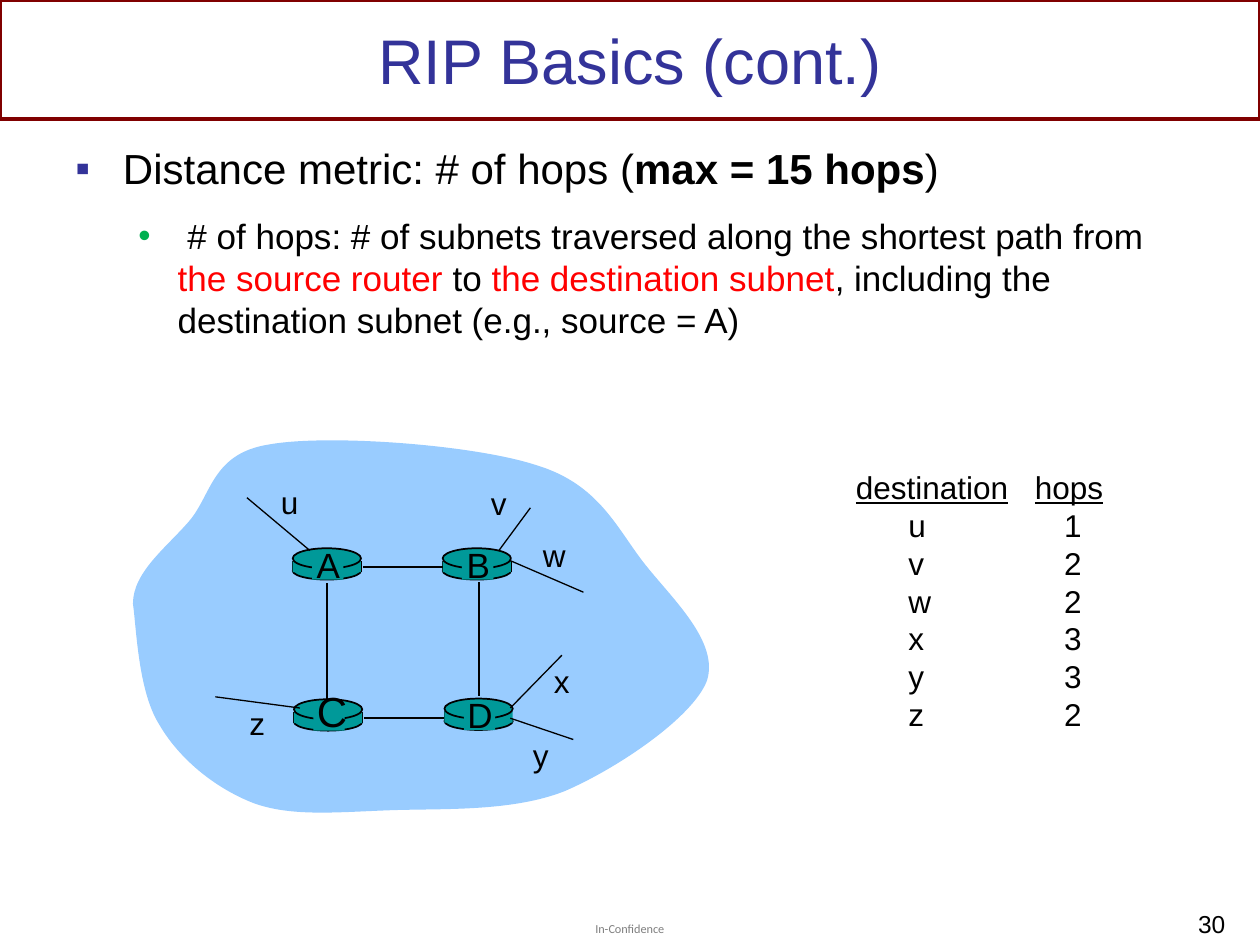
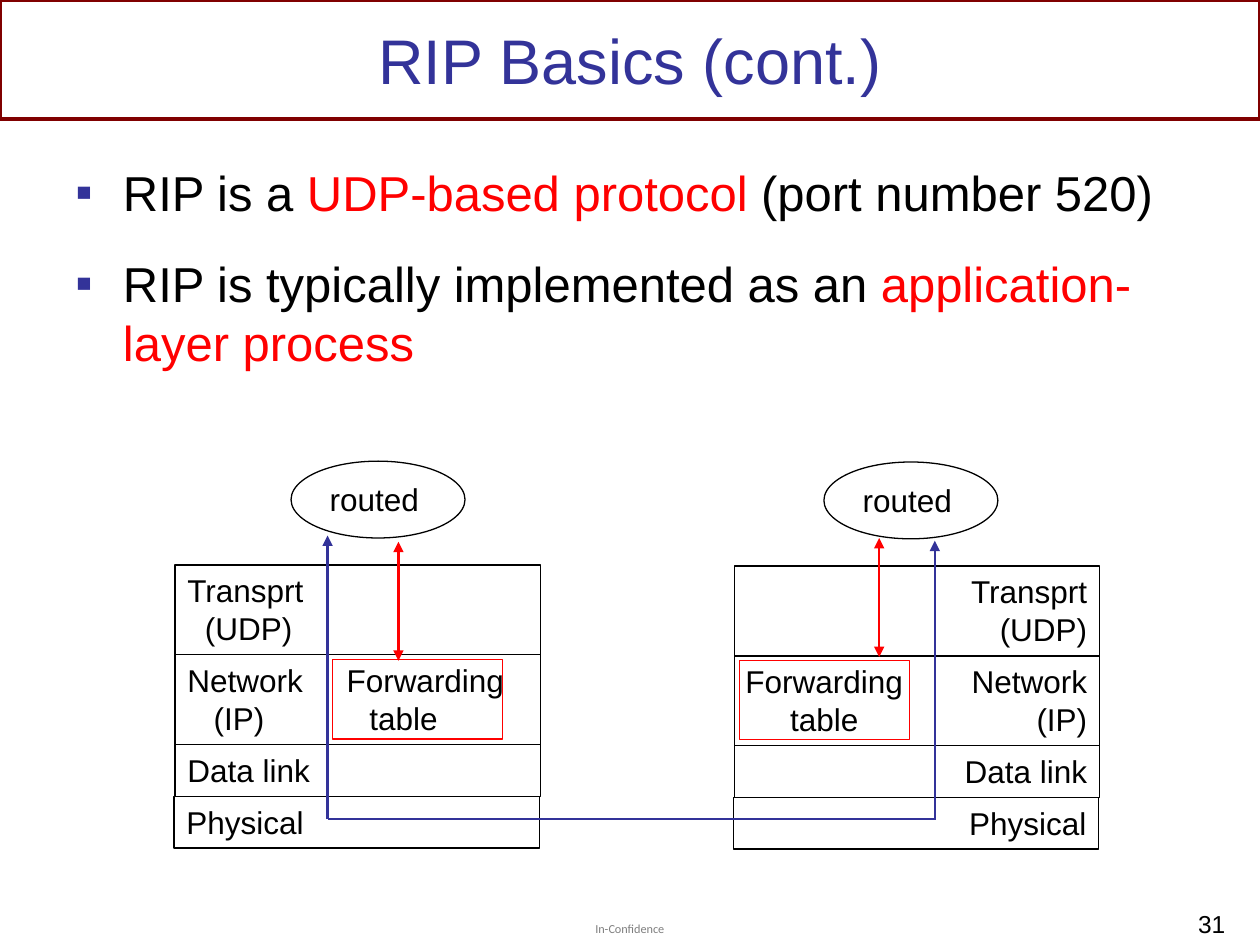
"""Builds two slides on RIP basics: hop counts and the protocol stack."""
from lxml import etree
from pptx import Presentation
from pptx import util as u
from pptx.dml.color import RGBColor
from pptx.enum import shapes, text
from pptx.oxml.ns import qn

COLOURS = {"ink": "000000", "blue": "333399", "band": "800000", "red": "FF0000",
           "green": "00B050", "cloud": "99CCFF", "router": "009999", "footer": "7F7F7F"}
LEFT, CENTER, RIGHT = text.PP_ALIGN.LEFT, text.PP_ALIGN.CENTER, text.PP_ALIGN.RIGHT
TOP, MIDDLE = text.MSO_ANCHOR.TOP, text.MSO_ANCHOR.MIDDLE
RECT, OVAL = shapes.MSO_SHAPE.RECTANGLE, shapes.MSO_SHAPE.OVAL
RED, BOLD, UNDERLINE = {"colour": "red"}, {"bold": True}, {"underline": True}

CLOUD_START = (75.6, 344.9)
CLOUD_CURVES = [
    ((76.3, 326.9), (95, 313.2), (108, 298.1)),
    ((121, 283), (121, 259.2), (154.1, 254.2)),
    ((187.2, 248.4), (271.4, 254.2), (306.7, 265.7)),
    ((342.7, 277.2), (352.8, 303.1), (369.4, 323.3)),
    ((385.2, 343.4), (411.1, 367.2), (403.9, 388.8)),
    ((396, 410.4), (352.8, 439.2), (323.3, 452.2)),
    ((293, 464.4), (253.4, 462.2), (223.9, 463)),
    ((193.7, 464.4), (167, 466.6), (144.7, 458.6)),
    ((122.4, 450), (102.2, 432.7), (90.7, 414)),
    ((79.2, 395.3), (78.5, 359.3), CLOUD_START),
]
ROUTERS = {"A": (167.3, 313.3), "B": (253, 313.3), "C": (168, 399.6), "D": (254, 399.2)}
ROUTER_LINKS = [(273.6, 332.6, 273.6, 397.6), (187, 333.4, 187, 400.3),
                (208, 410.4, 254, 410.4), (207.4, 324, 253.4, 324)]
SUBNET_LINKS = [(291.6, 320.4, 333.4, 338.4), (285.1, 314.6, 303.1, 290.2),
                (291.6, 404.6, 321.1, 374.4), (291.6, 410.4, 327.6, 422.6),
                (177.1, 314.6, 141.1, 284.4), (171.4, 404.6, 123.1, 398.2)]
SUBNETS = {"u": (153.4, 272.2), "v": (273.4, 272.9), "w": (303.1, 302.8),
           "x": (309.4, 374.8), "y": (297.4, 416.9), "z": (135.4, 398.9)}
HOPS = {"u": 1, "v": 2, "w": 2, "x": 3, "y": 3, "z": 2}
LAYERS = [(["Transprt", "(UDP)"], 51.4, 0), (["Network", "(IP)"], 51.4, 0),
          (["Data link"], 29.5, 0), (["Physical"], 29.5, -0.5)]
SPLIT_LAYERS = {"Transprt": (["Transprt", "\t(UDP)"], [10]),
                "Network": (["Network\tForwarding", "\t(IP)\ttable"], [15, 104])}
STACK_WIDTH = 208.8


def rgb(name):
    """Return the named colour."""
    return RGBColor.from_string(COLOURS[name])


def points(*lengths):
    """Convert numbers to point lengths."""
    return [u.Pt(length) for length in lengths]


def write(frame, lines, size=18, align=LEFT, anchor=TOP, wrap=True, colour="ink", font="Arial"):
    """Fill a frame; a line is a string or a list of (text, style) runs."""
    frame.word_wrap, frame.vertical_anchor = wrap, anchor
    for number, line in enumerate(lines):
        paragraph = frame.paragraphs[0] if number == 0 else frame.add_paragraph()
        paragraph.alignment = align
        for words, style in [(line, {})] if isinstance(line, str) else line:
            run = paragraph.add_run()
            run.text = words
            run.font.name, run.font.size = font, u.Pt(size)
            run.font.color.rgb = rgb(style.get("colour", colour))
            run.font.bold = style.get("bold", False)
            run.font.underline = style.get("underline", False)
    return frame


def label(slide, box, lines, **style):
    """Add a text box."""
    return write(slide.shapes.add_textbox(*points(*box)).text_frame, lines, **style)


def paint(shape, fill=None, line=None, width=0.75):
    """Set the fill and outline of a shape and take off its shadow."""
    shape.shadow.inherit = False
    if fill:
        shape.fill.solid()
        shape.fill.fore_color.rgb = rgb(fill)
    else:
        shape.fill.background()
    if line:
        shape.line.color.rgb = rgb(line)
        shape.line.width = u.Pt(width)
    else:
        shape.line.fill.background()
    return shape


def draw(slide, kind, box, fill=None, line=None, width=0.75):
    """Add a preset shape with an optional fill and outline."""
    return paint(slide.shapes.add_shape(kind, *points(*box)), fill, line, width)


def connect(slide, ends, colour="ink", width=0.75, arrows=()):
    """Add a straight line with arrowheads at the given ends."""
    line = slide.shapes.add_connector(shapes.MSO_CONNECTOR.STRAIGHT, *points(*ends))
    line.line.color.rgb = rgb(colour)
    line.line.width = u.Pt(width)
    for end in arrows:
        etree.SubElement(line.line._get_or_add_ln(), qn(f"a:{end}"), type="triangle")
    etree.SubElement(line._element.spPr, qn("a:effectLst"))


def set_bullet(paragraph, mark, colour, left, hang):
    """Give a paragraph a coloured bullet and a hanging indent."""
    properties = paragraph._p.get_or_add_pPr()
    properties.set("marL", str(u.Pt(left)))
    properties.set("indent", str(-u.Pt(hang)))
    holder = etree.SubElement(properties, qn("a:buClr"))
    etree.SubElement(holder, qn("a:srgbClr"), val=COLOURS[colour])
    etree.SubElement(properties, qn("a:buFont"), typeface="Arial")
    etree.SubElement(properties, qn("a:buChar"), char=mark)


def set_tabs(paragraph, *stops):
    """Set left tab stops on a paragraph."""
    tabs = etree.SubElement(paragraph._p.get_or_add_pPr(), qn("a:tabLst"))
    for stop in stops:
        etree.SubElement(tabs, qn("a:tab"), pos=str(u.Pt(stop)), algn="l")


def set_spacing(paragraphs, before, after):
    """Space the paragraphs of a box, with nothing before the first."""
    for number, paragraph in enumerate(paragraphs):
        paragraph.space_before = u.Pt(before if number else 0)
        paragraph.space_after = u.Pt(after)


def add_slide(deck, number):
    """Add a slide with the shared band, title, footer and number."""
    slide = deck.slides.add_slide(deck.slide_layouts[5])
    draw(slide, RECT, (0, 0, 720, 68.2), line="band", width=2)
    title = slide.shapes.title
    title.left, title.top, title.width, title.height = points(36, 5.4, 648, 56.9)
    write(title.text_frame, ["RIP Basics (cont.)"], size=36, align=CENTER,
          anchor=MIDDLE, colour="blue")
    footer = label(slide, (340.2, 526.3, 41, 8.6), ["In-Confidence"], size=7, wrap=False,
                   colour="footer", font="Calibri")
    footer.margin_left = footer.margin_right = footer.margin_top = footer.margin_bottom = 0
    label(slide, (548.9, 516.2, 158.4, 21.6), [str(number)], size=14, align=RIGHT)
    return slide


def add_cloud(slide):
    """Draw the network cloud, turning each three points into one Bezier curve."""
    builder = slide.shapes.build_freeform(*CLOUD_START, scale=u.Pt(1))
    builder.add_line_segments([point for curve in CLOUD_CURVES for point in curve], close=False)
    cloud = paint(builder.convert_to_shape(), "cloud")
    outline = next(cloud._element.iter(qn("a:path")))
    corners = outline.findall(qn("a:lnTo"))
    for first in range(0, len(corners), 3):
        curve = etree.SubElement(outline, qn("a:cubicBezTo"))
        for corner in corners[first:first + 3]:
            curve.append(corner[0])
            outline.remove(corner)
    etree.SubElement(outline, qn("a:close"))


def add_router(slide, left, top, edges):
    """Draw a router as a flat cylinder with the given side edges."""
    draw(slide, OVAL, (left, top + 7.9, 39, 10), "router", "ink", 1)
    for edge in edges:
        connect(slide, (left + edge, top + 7.2, left + edge, top + 13.5), width=1)
    draw(slide, RECT, (left, top + 7.2, 39, 6.5), "router")
    draw(slide, OVAL, (left, top, 39, 11.5), "router", "ink", 1)


def add_network(slide):
    """Draw the cloud with its routers, links and subnets."""
    add_cloud(slide)
    for name, (left, top) in ROUTERS.items():
        add_router(slide, left, top, [0] if name == "D" else [0, 39])
    for ends in ROUTER_LINKS:
        connect(slide, ends, width=1)
    for name, (left, top) in ROUTERS.items():
        draw(slide, RECT, (left + 11, top + 1.5, 18, 16.5), "router")
        size, height = (24, 36) if name == "C" else (20, 31)
        label(slide, (left + 6, top + 24.5 - height, 28.8, height), [name], size=size,
              align=CENTER, wrap=False)
    for ends in SUBNET_LINKS:
        connect(slide, ends)
    for name, (left, top) in SUBNETS.items():
        label(slide, (left, top, 24, 28.8), [name], wrap=False)


def add_hop_list(slide):
    """List the hops from router A to each subnet."""
    header = [("destination", UNDERLINE), ("\t", {}), ("hops", UNDERLINE)]
    rows = [f"\t{subnet}\t{hops}" for subnet, hops in HOPS.items()]
    hop_list = label(slide, (482, 264, 163, 180), [header] + rows)
    set_tabs(hop_list.paragraphs[0], 102.3)
    for row in hop_list.paragraphs[1:]:
        set_tabs(row, 30, 119)


def add_stack(slide, left, top, align):
    """Draw one host's protocol layers."""
    for names, height, shift in LAYERS:
        lines, stops = SPLIT_LAYERS.get(names[0], (names, [])) if align == LEFT else (names, [])
        layer = draw(slide, RECT, (left + shift, top, STACK_WIDTH, height), line="ink").text_frame
        write(layer, lines, align=align)
        if stops:
            set_tabs(layer.paragraphs[0], 91)
            set_tabs(layer.paragraphs[1], *stops)
        top += height


def add_process(slide, left, top):
    """Draw a routing process."""
    draw(slide, OVAL, (left, top, 99.4, 43.9), line="ink")
    label(slide, (left + 15, top + 7.2, 71.3, 28.8), ["routed"], wrap=False)


def add_forwarding_box(slide, left, top):
    """Outline a forwarding table."""
    return draw(slide, RECT, (left, top, 97.2, 45.4), line="red")


def main():
    """Build and save the deck."""
    deck = Presentation()
    deck.slide_width, deck.slide_height = points(720, 540)

    hops = add_slide(deck, 30)
    metric = label(hops, (36, 77.8, 648, 419.8), [
        [("Distance metric: # of hops (", {}), ("max = 15 hops", BOLD), (")", {})]], size=24)
    metric.add_paragraph()
    detail = metric.paragraphs[1]
    detail.level = 1
    for words, colour in [
            (" # of hops: # of subnets traversed along the shortest path from ", "ink"),
            ("the source router ", "red"), ("to ", "ink"), ("the destination subnet", "red"),
            (", including the destination subnet (e.g., source = A)", "ink")]:
        run = detail.add_run()
        run.text = words
        run.font.name, run.font.size = "Arial", u.Pt(20)
        run.font.color.rgb = rgb(colour)
    set_bullet(metric.paragraphs[0], "▪", "blue", 27.2, 27.2)
    set_bullet(detail, "•", "green", 58.5, 22.5)
    set_spacing(metric.paragraphs, 6.3, 6)
    add_network(hops)
    add_hop_list(hops)

    stacks = add_slide(deck, 31)
    facts = label(stacks, (36, 89.3, 648, 139), [
        [("RIP is a ", {}), ("UDP-based protocol ", RED), ("(port number 520)", {})],
        [("RIP is typically implemented as an ", {}), ("application-layer process", RED)]], size=28)
    for fact in facts.paragraphs:
        set_bullet(fact, "▪", "blue", 27.2, 27.2)
    set_spacing(facts.paragraphs, 12.3, 6)
    add_stack(stacks, 100, 322.8, LEFT)
    add_forwarding_box(stacks, 190.1, 376.9)
    add_process(stacks, 166.3, 263.5)
    add_stack(stacks, 419.6, 323.4, RIGHT)
    add_process(stacks, 470.8, 264)
    write(add_forwarding_box(stacks, 422.4, 377.4).text_frame, ["Forwarding", "table"],
          align=CENTER, anchor=MIDDLE, wrap=False)
    for x, top in ((187.2, 306), (534.2, 309)):
        connect(stacks, (x, 468, x, top), "blue", 1.5, ["tailEnd"])
    connect(stacks, (187.2, 468, 534.6, 468), "blue", 1.5)
    for x, top in ((227.7, 309.6), (502.4, 307.4)):
        connect(stacks, (x, top, x, top + 68), "red", 1.5, ["headEnd", "tailEnd"])

    deck.save("out.pptx")


if __name__ == "__main__":
    main()
